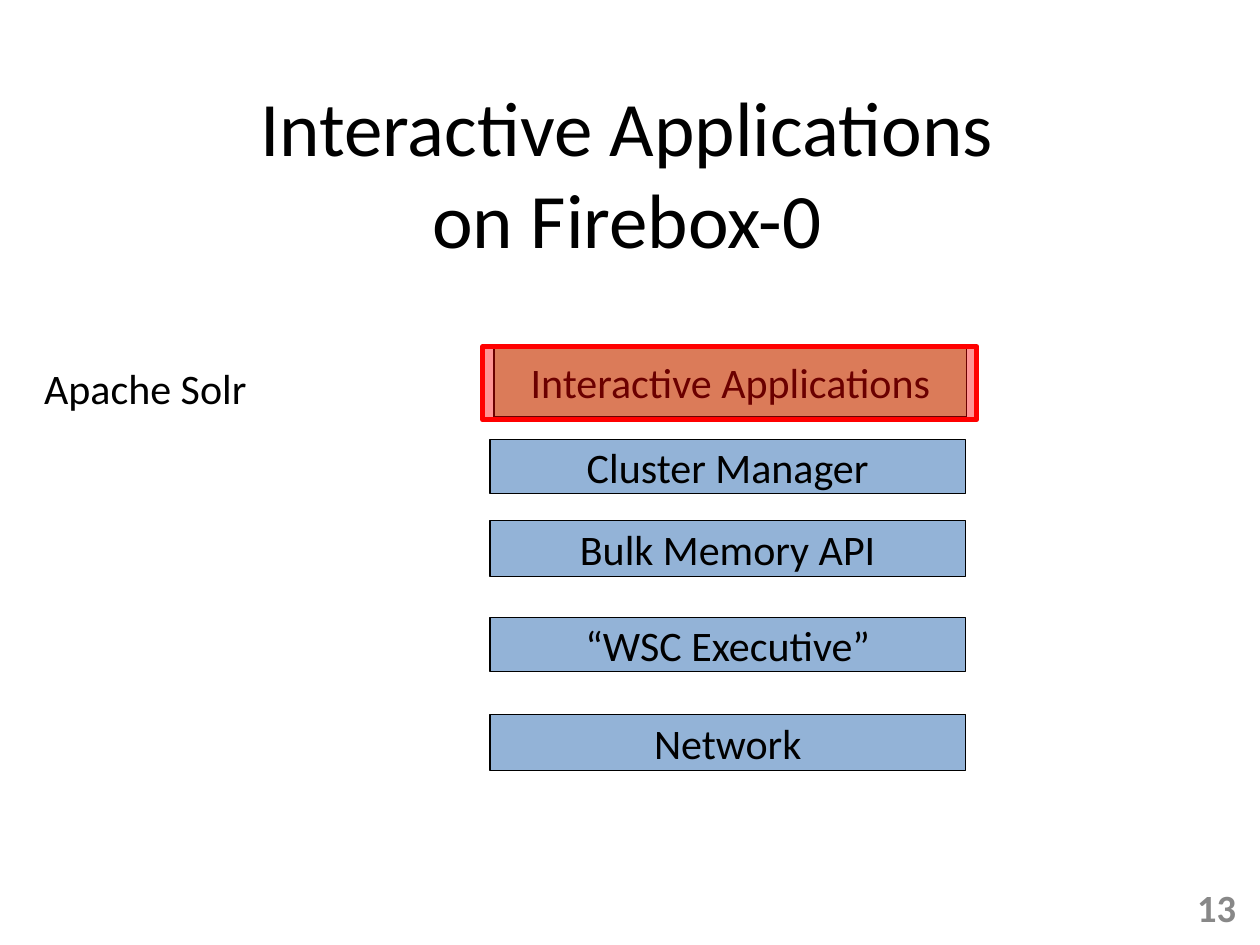
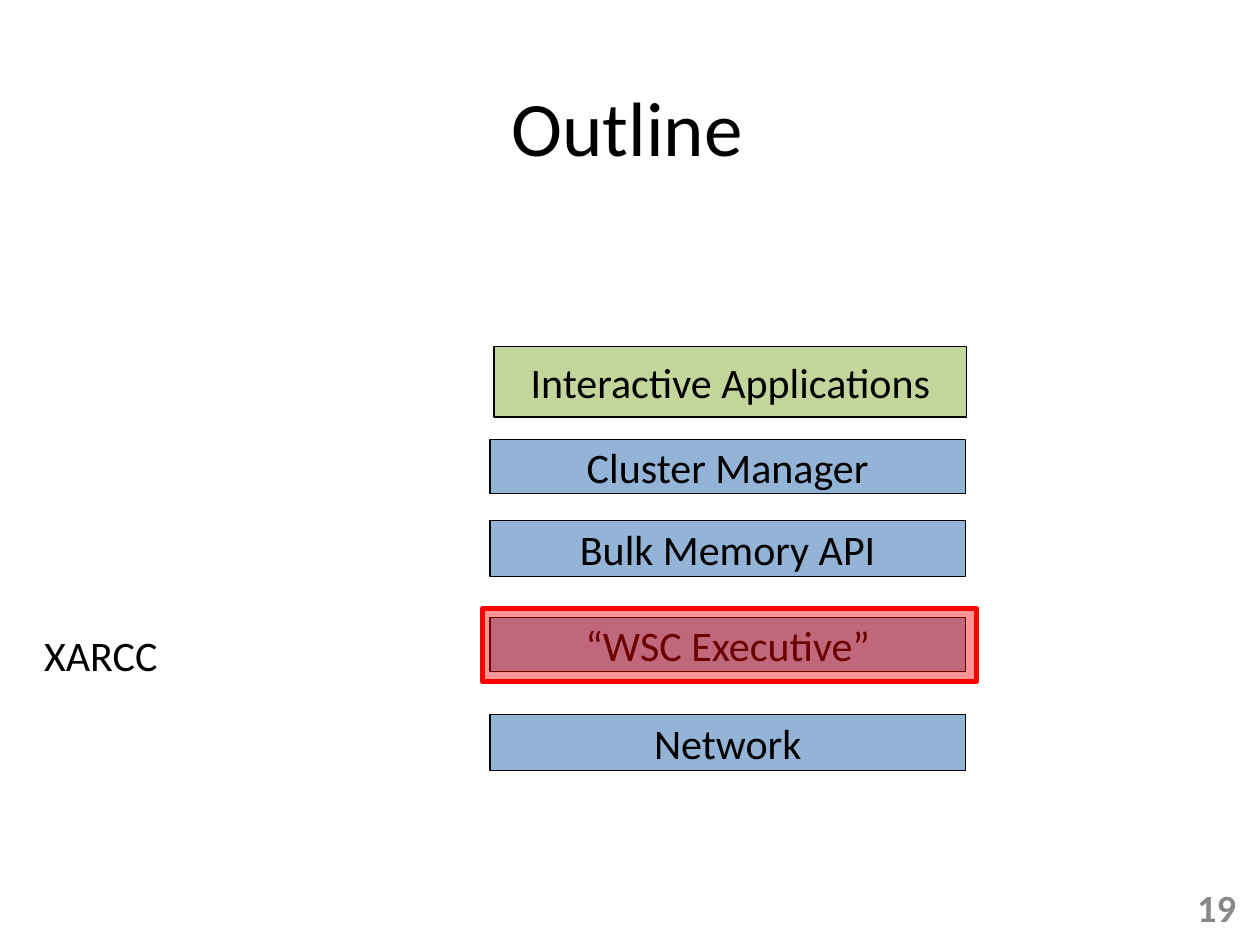
"""Build two slides that highlight one layer of a software stack each."""
from lxml import etree
from pptx import Presentation
from pptx.dml.color import RGBColor
from pptx.enum.shapes import MSO_SHAPE
from pptx.enum.text import MSO_ANCHOR, MSO_AUTO_SIZE, PP_ALIGN
from pptx.oxml.ns import qn
from pptx.util import Cm, Pt

RECTANGLE = MSO_SHAPE.RECTANGLE
LEFT, CENTER, RIGHT = PP_ALIGN.LEFT, PP_ALIGN.CENTER, PP_ALIGN.RIGHT
TOP, MIDDLE = MSO_ANCHOR.TOP, MSO_ANCHOR.MIDDLE
FIT_NONE, FIT_SHAPE = MSO_AUTO_SIZE.NONE, MSO_AUTO_SIZE.SHAPE_TO_FIT_TEXT

FONT = "Calibri"
BLACK, GREY, RED = "000000", "888888", "FF0000"
BLUE, GREEN = "93B3D7", "C2D59B"
TITLE_ONLY = 5

STACK = [
    ("Interactive Applications", GREEN, (9.96, 6.99, 9.53, 1.42)),
    ("Cluster Manager", BLUE, (9.88, 8.86, 9.58, 1.09)),
    ("Bulk Memory API", BLUE, (9.88, 10.49, 9.58, 1.14)),
    ("“WSC Executive”", BLUE, (9.88, 12.45, 9.58, 1.09)),
    ("Network", BLUE, (9.88, 14.4, 9.58, 1.14)),
]


def rgb(code):
    return RGBColor.from_string(code)


def lengths(box):
    return [Cm(value) for value in box]


def write(frame, text, size=24, color=BLACK, bold=False, align=LEFT,
          anchor=TOP, wrap=True, fit=FIT_NONE):
    frame.text = text
    frame.word_wrap = wrap
    frame.auto_size = fit
    frame.vertical_anchor = anchor
    for paragraph in frame.paragraphs:
        paragraph.alignment = align
        font = paragraph.font
        font.name, font.size, font.bold = FONT, Pt(size), bold
        font.color.rgb = rgb(color)


def add_title(slide, text):
    title = slide.shapes.title
    title.left, title.top, title.width, title.height = lengths(
        (0.51, 1.47, 24.26, 2.11))
    write(title.text_frame, text, size=44, align=CENTER)


def add_label(slide, text, box, **style):
    label = slide.shapes.add_textbox(*lengths(box))
    write(label.text_frame, text, **style)


def add_rectangle(slide, box, fill, line, line_width):
    rectangle = slide.shapes.add_shape(RECTANGLE, *lengths(box))
    rectangle.shadow.inherit = False
    rectangle.fill.solid()
    rectangle.fill.fore_color.rgb = rgb(fill)
    rectangle.line.color.rgb = rgb(line)
    rectangle.line.width = Pt(line_width)
    return rectangle


def add_stack(slide):
    for name, fill, box in STACK:
        layer = add_rectangle(slide, box, fill, BLACK, 0.75)
        write(layer.text_frame, name, align=CENTER, anchor=MIDDLE)


def add_highlight(slide, top):
    highlight = add_rectangle(slide, (9.73, top, 9.96, 1.47), RED, RED, 3)
    fill = highlight.fill._xPr.find(qn("a:solidFill"))
    etree.SubElement(fill[0], qn("a:alpha"), val="42000")


def add_stack_slide(deck, title, number, highlight_top, example, example_box):
    slide = deck.slides.add_slide(deck.slide_layouts[TITLE_ONLY])
    add_title(slide, title)
    add_stack(slide)
    add_highlight(slide, highlight_top)
    add_label(slide, example, example_box, wrap=False, fit=FIT_SHAPE)
    add_label(slide, number, (19.25, 17.78, 5.92, 1.02), size=22, color=GREY,
              bold=True, align=RIGHT, anchor=MIDDLE)


def main():
    deck = Presentation()
    deck.slide_width, deck.slide_height = Cm(25.4), Cm(19.05)
    add_stack_slide(deck, "Interactive Applications\non Firebox-0", "13",
                    6.99, "Apache Solr", (0.64, 7.19, 4.62, 1.27))
    add_stack_slide(deck, "Outline", "19",
                    12.27, "XARCC", (0.64, 12.57, 2.82, 1.27))
    deck.save("out.pptx")


if __name__ == "__main__":
    main()
